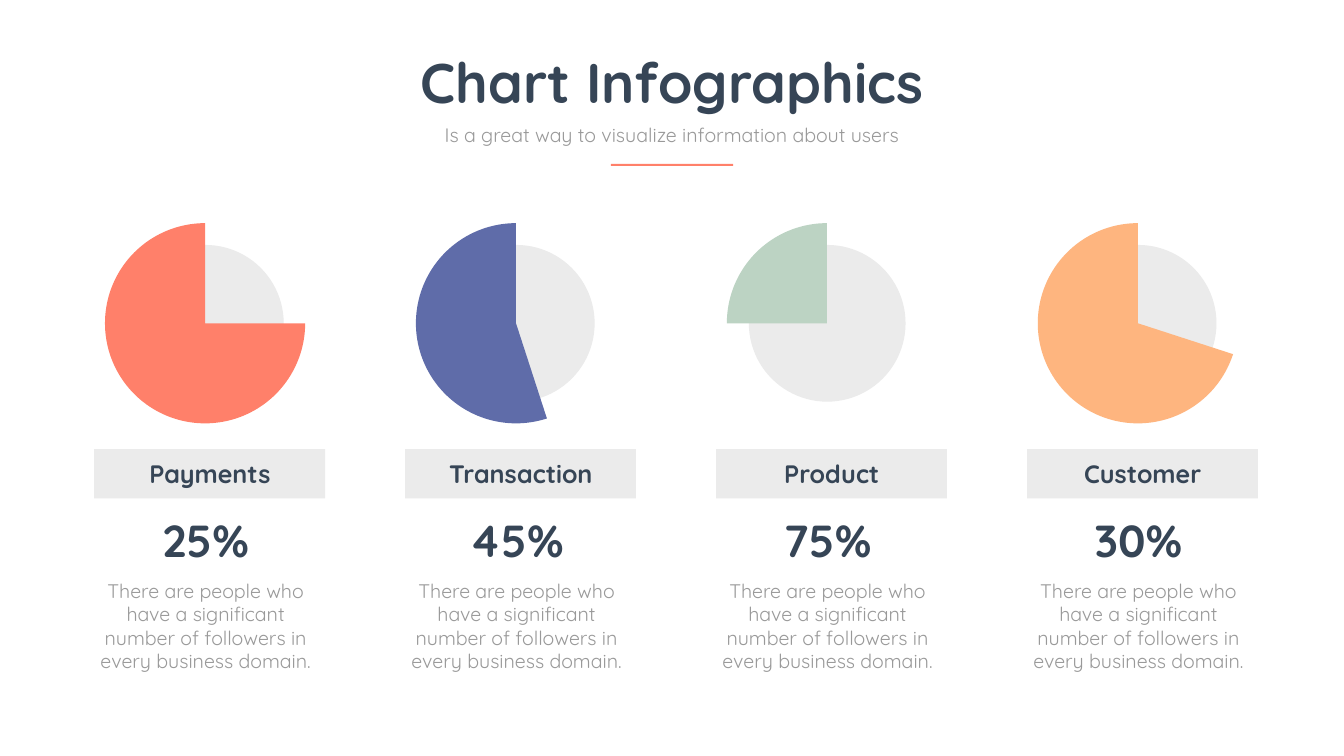
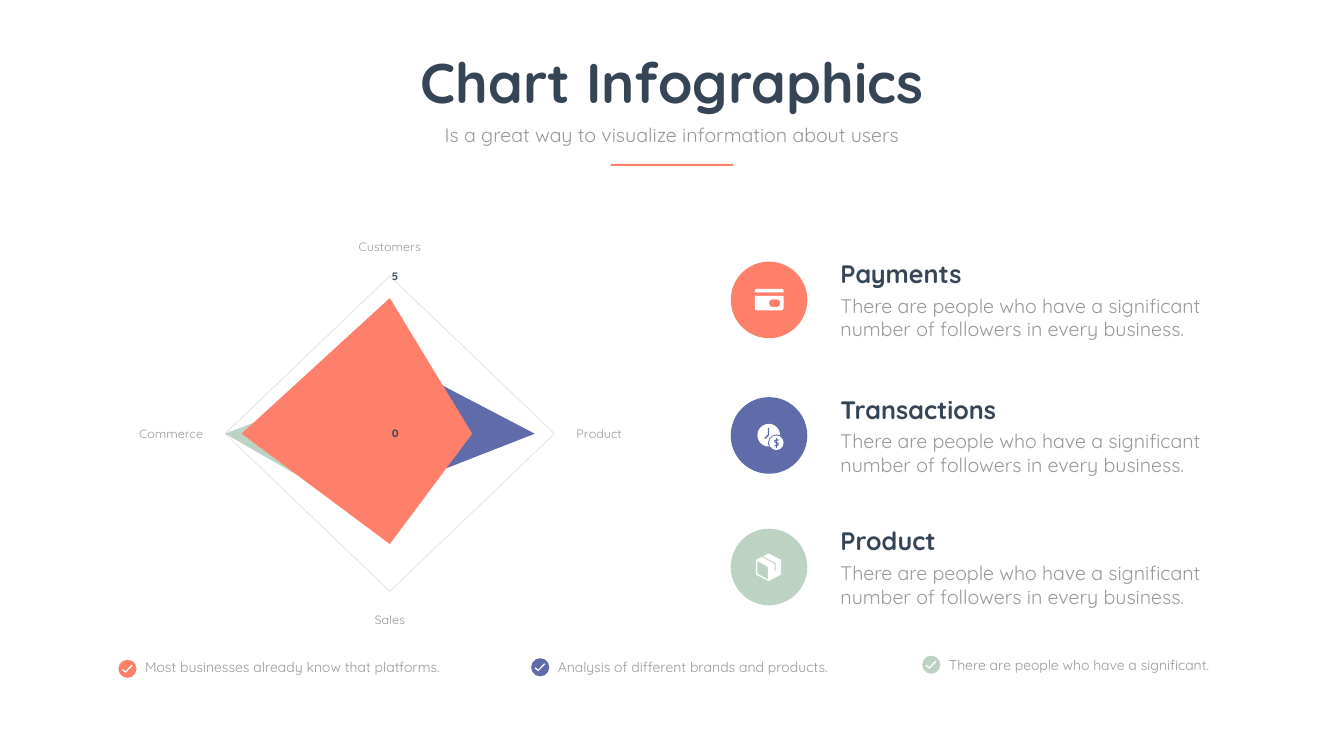
from dataclasses import dataclass

from lxml import etree
from pptx import Presentation
from pptx.chart.data import CategoryChartData
from pptx.dml.color import RGBColor
from pptx.enum.chart import XL_CHART_TYPE as ChartType, XL_TICK_MARK as Tick
from pptx.enum.shapes import MSO_SHAPE as Preset
from pptx.enum.text import MSO_ANCHOR as Anchor, MSO_AUTO_SIZE as AutoSize, PP_ALIGN as Align
from pptx.oxml.ns import qn
from pptx.util import Pt

PX = 9144


@dataclass(frozen=True)
class Theme:
    font: str = "Quicksand"
    pie_font: str = "Calibri"
    ink: str = "364556"
    muted: str = "999999"
    pale: str = "EBEBEB"
    grid: str = "D9D9D9"
    spoke: str = "F0F0F0"
    white: str = "FFFFFF"
    coral: str = "FF806A"
    indigo: str = "5F6CA9"
    sage: str = "BCD3C3"
    apricot: str = "FEB57F"
    title: int = 80
    figure: int = 64
    heading: int = 36
    body: int = 28
    note: int = 20
    category: int = 18
    scale: int = 16


theme = Theme()
rgb = RGBColor.from_string


def write(shape, box, text, size, color=theme.muted, bold=False, align=Align.LEFT,
          anchor=Anchor.TOP, inset=None):
    shape.left, shape.top, shape.width, shape.height = [v * PX for v in box]
    frame = shape.text_frame
    frame.text = text
    layout = {"word_wrap": True, "auto_size": AutoSize.SHAPE_TO_FIT_TEXT,
              "vertical_anchor": anchor}
    side, edge = (inset, inset) if inset else (10, 5)
    layout.update(margin_left=side * PX, margin_right=side * PX,
                  margin_top=edge * PX, margin_bottom=edge * PX)
    for name, value in layout.items():
        setattr(frame, name, value)
    paragraph = frame.paragraphs[0]
    paragraph.alignment = align
    font = paragraph.runs[0].font
    for name, value in {"name": theme.font, "size": Pt(size), "bold": bold}.items():
        setattr(font, name, value)
    font.color.rgb = rgb(color)


def paint(shape, fill=None, stroke=None, width=2):
    shape.shadow.inherit = False
    if fill:
        shape.fill.solid()
        shape.fill.fore_color.rgb = rgb(fill)
    else:
        shape.fill.background()
    if stroke:
        shape.line.color.rgb = rgb(stroke)
        shape.line.width = Pt(width)
    else:
        shape.line.fill.background()


deck = Presentation()
deck.slide_width, deck.slide_height = 2667 * PX, 1500 * PX
pies, radar = [deck.slides.add_slide(deck.slide_layouts[5]) for _ in range(2)]

for slide in (pies, radar):
    write(slide.shapes.title, (688, 90, 1291, 145), "Chart Infographics",
          theme.title, theme.ink, True, Align.CENTER)
    write(slide.shapes.add_textbox(0, 0, 0, 0), (855, 238, 956, 57),
          "Is a great way to visualize information about users", theme.body, align=Align.CENTER)
    rule = slide.shapes.add_shape(Preset.RECTANGLE, 1212 * PX, 325 * PX, 243 * PX, 4 * PX)
    paint(rule, theme.coral)

plot_areas = []
shares = [("Payments", 25, theme.coral), ("Transaction", 45, theme.indigo),
          ("Product", 75, theme.sage), ("Customer", 30, theme.apricot)]
for column, (topic, share, color) in enumerate(shares):
    x = 617 * column
    disc = pies.shapes.add_shape(Preset.OVAL, (252 + x) * PX, 486 * PX, 311 * PX, 311 * PX)
    paint(disc, theme.pale)

    split = CategoryChartData()
    split.categories = ["1", "2"]
    split.add_series("Series 1", (share, 100 - share))
    pie = pies.shapes.add_chart(ChartType.PIE, (176 + x) * PX, 430 * PX,
                                462 * PX, 423 * PX, split).chart
    pie.font.name = theme.pie_font
    pie.font.size = Pt(10)
    points = pie.plots[0].series[0].points
    points[0].format.fill.background()
    points[1].format.fill.solid()
    points[1].format.fill.fore_color.rgb = rgb(color)
    for point in (points[0], points[1]):
        point.format.line.fill.background()
    plot_areas.append((pie, (0.07, 0.03, 0.86, 0.94)))

    band = pies.shapes.add_shape(Preset.RECTANGLE, (187 + x) * PX, 891 * PX, 458 * PX, 98 * PX)
    paint(band, theme.pale)
    centred = {"color": theme.ink, "bold": True, "align": Align.CENTER,
               "anchor": Anchor.MIDDLE, "inset": 6}
    write(pies.shapes.add_textbox(0, 0, 0, 0), (217 + x, 904, 399, 72),
          topic, theme.heading, **centred)
    write(pies.shapes.add_textbox(0, 0, 0, 0), (254 + x, 1011, 308, 119),
          f"{share}%", theme.figure, **centred)
    write(pies.shapes.add_textbox(0, 0, 0, 0), (170 + x, 1143, 476, 199),
          "There are people who have a significant number of followers in every business domain.",
          theme.body, align=Align.CENTER)

scores = CategoryChartData()
scores.categories = ["Customers", "Product", "Sales", "Commerce"]
for number, values in enumerate([(4.3, 2.5, 3.5, 4.5), (2.4, 4.4, 1.8, 2.8), (2, 2, 3, 5)], 1):
    scores.add_series(f"Series {number}", values)
web = radar.shapes.add_chart(ChartType.RADAR_FILLED, 162 * PX, 476 * PX,
                             1211 * PX, 769 * PX, scores).chart
web.font.name = theme.font
web.font.size = Pt(11)
palette = (theme.coral, theme.indigo, theme.sage)
for series, color in zip(web.plots[0].series, palette):
    series.format.fill.solid()
    series.format.fill.fore_color.rgb = rgb(color)
    series.format.line.fill.background()
for axis, size, color, bold, grid in (
        (web.category_axis, theme.category, theme.muted, False, theme.spoke),
        (web.value_axis, theme.scale, theme.ink, True, theme.grid)):
    axis.major_tick_mark = axis.minor_tick_mark = Tick.NONE
    axis.has_major_gridlines = True
    axis.major_gridlines.format.line.color.rgb = rgb(grid)
    axis.major_gridlines.format.line.width = Pt(0.75)
    font = axis.tick_labels.font
    for name, value in {"name": theme.font, "size": Pt(size), "bold": bold}.items():
        setattr(font, name, value)
    font.color.rgb = rgb(color)
web.category_axis.format.line.color.rgb = rgb(theme.spoke)
web.category_axis.format.line.width = Pt(0.75)
web.value_axis.format.line.fill.background()
for name, value in {"minimum_scale": 0, "maximum_scale": 5, "major_unit": 5}.items():
    setattr(web.value_axis, name, value)
web.value_axis.tick_labels.number_format = "General"
web.value_axis.tick_labels.number_format_is_linked = False
plot_areas.append((web, (0.2, 0.07, 0.61, 0.85)))

for chart, bounds in plot_areas:
    chart.has_legend = chart.has_title = False
    chart.plots[0].vary_by_categories = False
    chart.font.color.rgb = rgb(theme.muted)
    area = chart._chartSpace.chart.plotArea
    for old in area.findall(qn("c:layout")):
        area.remove(old)
    layout = etree.Element(qn("c:layout"))
    manual = etree.SubElement(layout, qn("c:manualLayout"))
    settings = [("layoutTarget", "inner"), ("xMode", "edge"), ("yMode", "edge")]
    for tag, value in settings + list(zip("xywh", bounds)):
        etree.SubElement(manual, qn(f"c:{tag}")).set("val", str(value))
    area.insert(0, layout)

topics = [("Payments", 519), ("Transactions", 788), ("Product", 1049)]
for (topic, y), color in zip(topics, palette):
    badge = radar.shapes.add_shape(Preset.OVAL, 1450 * PX, y * PX, 152 * PX, 152 * PX)
    paint(badge, color)
    write(radar.shapes.add_textbox(0, 0, 0, 0), (1658, y - 11, 775, 71),
          topic, theme.heading, theme.ink, True)
    write(radar.shapes.add_textbox(0, 0, 0, 0), (1658, y + 59, 797, 104),
          "There are people who have a significant number of followers in every business.",
          theme.body)

icon_parts = [
    (Preset.ROUND_2_SAME_RECTANGLE, (1498, 573, 57, 7), theme.white, (0.5, 0)),
    (Preset.ROUND_2_SAME_RECTANGLE, (1498, 587, 57, 29), theme.white, (0, 0.17)),
    (Preset.ROUNDED_RECTANGLE, (1526, 594, 22, 15), theme.coral, (0.5,)),
    (Preset.OVAL, (1503, 841, 45, 45), theme.white, ()),
    (Preset.OVAL, (1524, 862, 34, 34), theme.indigo, ()),
    (Preset.OVAL, (1526, 864, 29, 29), theme.white, ()),
]
for preset, box, color, rounding in icon_parts:
    part = radar.shapes.add_shape(preset, *[v * PX for v in box])
    for index, value in enumerate(rounding):
        part.adjustments[index] = value
    paint(part, color)

clock_hands = [(1525, 849), (1525, 863), (1518, 870)]
dollar_curve = [(1545, 873), (1540, 873), (1537, 875), (1538, 877), (1541, 878),
                (1544, 880), (1544, 883), (1541, 885), (1537, 884)]
for points, width in ((clock_hands, 2), (dollar_curve, 1.5), ([(1541, 870), (1541, 888)], 1.5)):
    builder = radar.shapes.build_freeform(*points[0], scale=PX)
    builder.add_line_segments(points[1:], close=False)
    paint(builder.convert_to_shape(), stroke=theme.indigo, width=width)

parcel = [(1525, 1098), (1515, 1103), (1516, 1105), (1539, 1117), (1539, 1133), (1537, 1134),
          (1537, 1119), (1512, 1105), (1500, 1111), (1500, 1140), (1525, 1153), (1550, 1140),
          (1550, 1111)]
parcel_face = [(1524, 1150), (1503, 1138), (1503, 1113), (1524, 1125)]
builder = radar.shapes.build_freeform(*parcel[0], scale=PX)
builder.add_line_segments(parcel[1:])
builder.move_to(*parcel_face[0])
builder.add_line_segments(parcel_face[1:])
paint(builder.convert_to_shape(), theme.white)

tick = [(14, 23), (9, 18), (7, 20), (14, 26), (28, 12), (26, 10)]
notes = [("Most businesses already know that platforms.", 235, 1309, 1302),
         ("Analysis of different brands and products.", 1054, 1306, 1302),
         ("There are people who have a significant.", 1830, 1301, 1298)]
for (note, x, y, text_y), color in zip(notes, palette):
    dot = radar.shapes.add_shape(Preset.OVAL, x * PX, y * PX, 36 * PX, 36 * PX)
    paint(dot, color)
    corners = [(x + dx, y + dy) for dx, dy in tick]
    builder = radar.shapes.build_freeform(*corners[0], scale=PX)
    builder.add_line_segments(corners[1:])
    paint(builder.convert_to_shape(), theme.white)
    write(radar.shapes.add_textbox(0, 0, 0, 0), (x + 43, text_y, 632, 44), note, theme.note)

deck.save("out.pptx")
